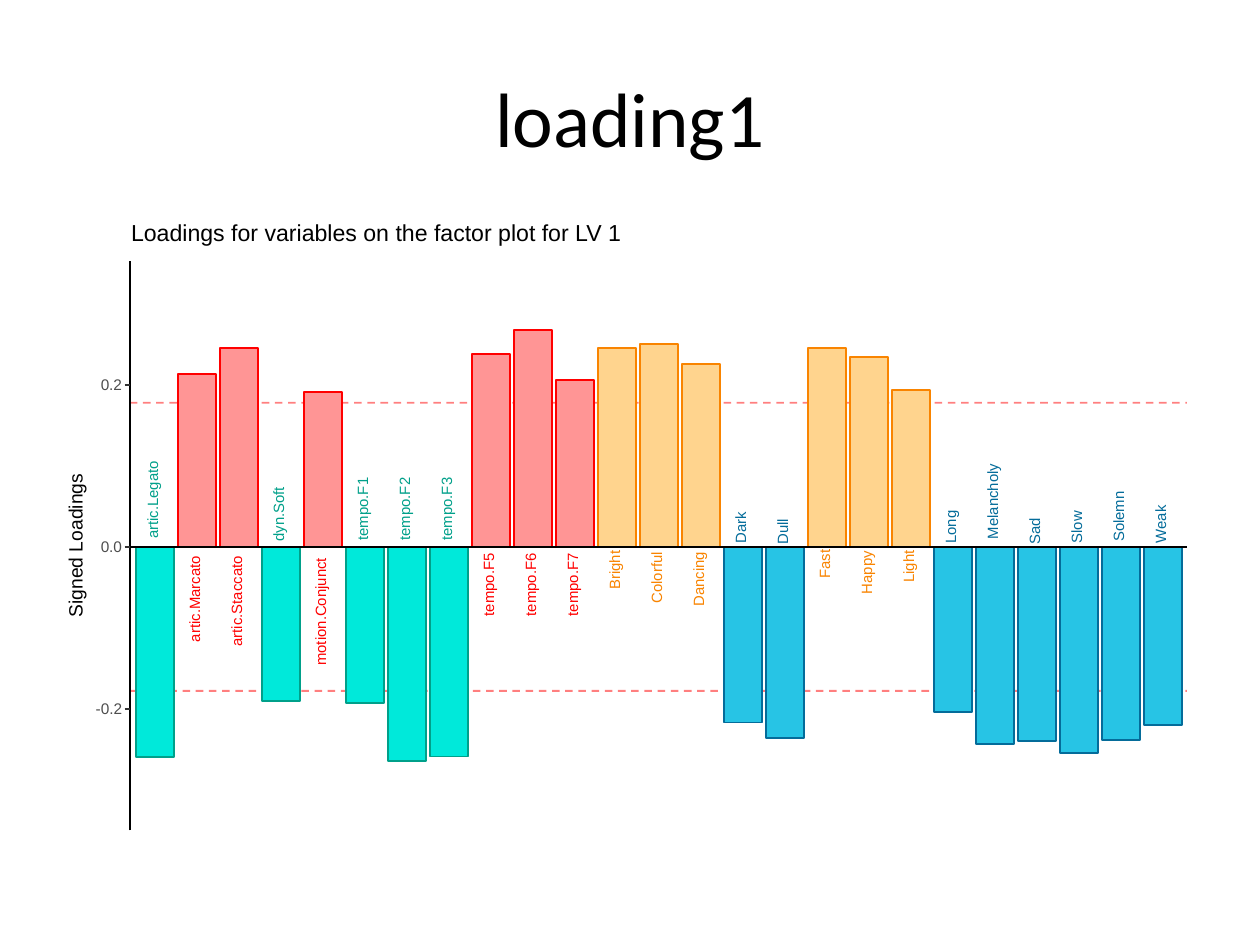
from dataclasses import dataclass
from lxml import etree
from pptx import Presentation
from pptx import util as u
from pptx.dml.color import RGBColor
from pptx.enum import dml, shapes, text
from pptx.oxml import ns


@dataclass(frozen=True)
class Theme:
    black: str = "000000"
    white: str = "FFFFFF"
    tick: str = "333333"
    tick_label: str = "4D4D4D"
    cutoff: str = "FF0000"
    title_font: str = "Calibri"
    plot_font: str = "Arial"
    title_size: float = 44
    heading_size: float = 13.2
    axis_size: float = 11
    tick_size: float = 8.8
    label_size: float = 8.5
    stroke: float = 1.07


THEME = Theme()
FAMILIES = {
    "teal": ("00E9DA", "00A08A"),
    "red": ("FF9595", "FF0000"),
    "orange": ("FFD48E", "F98400"),
    "blue": ("27C4E5", "046C9A"),
}
LOADINGS = [
    ("artic.Legato", -26.0, 0.62, "teal"),
    ("artic.Marcato", 21.3, 0.69, "red"),
    ("artic.Staccato", 24.6, 0.72, "red"),
    ("dyn.Soft", -19.0, 0.43, "teal"),
    ("motion.Conjunct", 19.1, 0.86, "red"),
    ("tempo.F1", -19.3, 0.5, "teal"),
    ("tempo.F2", -26.5, 0.5, "teal"),
    ("tempo.F3", -25.9, 0.5, "teal"),
    ("tempo.F5", 23.8, 0.5, "red"),
    ("tempo.F6", 26.8, 0.5, "red"),
    ("tempo.F7", 20.6, 0.5, "red"),
    ("Bright", 24.6, 0.31, "orange"),
    ("Colorful", 25.0, 0.41, "orange"),
    ("Dancing", 22.6, 0.43, "orange"),
    ("Dark", -21.7, 0.25, "blue"),
    ("Dull", -23.6, 0.2, "blue"),
    ("Fast", 24.6, 0.23, "orange"),
    ("Happy", 23.4, 0.34, "orange"),
    ("Light", 19.4, 0.26, "orange"),
    ("Long", -20.4, 0.26, "blue"),
    ("Melancholy", -24.4, 0.6, "blue"),
    ("Sad", -24.0, 0.21, "blue"),
    ("Slow", -25.5, 0.26, "blue"),
    ("Solemn", -23.9, 0.4, "blue"),
    ("Weak", -22.0, 0.3, "blue"),
]


def add_text(parts, words, box, size, colour, font=THEME.plot_font):
    frame_box = parts.add_textbox(*map(u.Inches, box))
    frame = frame_box.text_frame
    frame.word_wrap = False
    frame.vertical_anchor = text.MSO_ANCHOR.MIDDLE
    frame.margin_left = frame.margin_right = 0
    frame.margin_top = frame.margin_bottom = 0
    run = frame.paragraphs[0].add_run()
    run.text = words
    run.font.name = font
    run.font.size = u.Pt(size)
    run.font.color.rgb = RGBColor.from_string(colour)
    return frame_box


def add_plot_text(parts, words, box, size, colour):
    label = add_text(parts, words, box, size, colour)
    label.text_frame.paragraphs[0].line_spacing = u.Pt(size)
    return label


def add_upright_text(parts, words, centre, length, height, size, colour):
    x, y = centre
    room = length + 0.06
    box = (x - room / 2, y - height / 2, room, height)
    label = add_plot_text(parts, words, box, size, colour)
    label.rotation = 270
    label.text_frame.paragraphs[0].alignment = text.PP_ALIGN.CENTER


def add_rect(parts, box, fill, outline):
    rect = parts.add_shape(shapes.MSO_SHAPE.RECTANGLE, *map(u.Inches, box))
    rect.shadow.inherit = False
    rect.fill.solid()
    rect.fill.fore_color.rgb = RGBColor.from_string(fill)
    rect.line.color.rgb = RGBColor.from_string(outline)
    rect.line.width = u.Pt(THEME.stroke)


def add_line(parts, start, end, colour):
    line = parts.add_connector(
        shapes.MSO_CONNECTOR.STRAIGHT, *map(u.Inches, (*start, *end)))
    line.line.color.rgb = RGBColor.from_string(colour)
    line.line.width = u.Pt(THEME.stroke)
    etree.SubElement(line.element.spPr, ns.qn("a:effectLst"))
    return line


def add_cutoff(parts, start, end):
    cutoff = add_line(parts, start, end, THEME.cutoff)
    cutoff.line.dash_style = dml.MSO_LINE.DASH
    colour = next(cutoff.element.spPr.iter(ns.qn("a:srgbClr")))
    etree.SubElement(colour, ns.qn("a:alpha")).set("val", "50000")


def add_title(slide, box):
    title = add_text(slide.shapes, "loading1", box, THEME.title_size,
                     THEME.black, THEME.title_font)
    title.text_frame.paragraphs[0].alignment = text.PP_ALIGN.CENTER


def add_loadings_plot(slide, box):
    left, top, width, height = box
    axis_x, right = left + 0.53, left + width - 0.08
    axis_top, axis_bottom = top + 0.32, top + height - 0.11
    zero = top + 2.59
    unit = 2.57 / 40
    first, step, bar_width = left + 0.73, 1 / 3, 0.3
    parts = slide.shapes.add_group_shape().shapes

    add_rect(parts, box, THEME.white, THEME.white)
    for cutoff in (17.8, -17.8):
        y = zero - cutoff * unit
        add_cutoff(parts, (axis_x, y), (right, y))

    for index, (name, loading, length, family) in enumerate(LOADINGS):
        bar_top = zero - max(loading, 0) * unit
        bar_left = first + index * step - bar_width / 2
        add_rect(parts, (bar_left, bar_top, bar_width, abs(loading) * unit),
                 *FAMILIES[family])

    for index, (name, loading, length, family) in enumerate(LOADINGS):
        side = 1 if loading > 0 else -1
        centre = (first + index * step - 0.01, zero + side * 0.6 * length)
        label_height = 0.11 if set(name) & set("gjpy") else 0.09
        add_upright_text(parts, name, centre, length, label_height,
                         THEME.label_size, FAMILIES[family][1])

    add_line(parts, (axis_x, zero), (right, zero), THEME.black)
    add_line(parts, (axis_x, axis_bottom), (axis_x, axis_top), THEME.black)
    for tick, length in ((-20, 0.21), (0, 0.17), (20, 0.17)):
        y = zero - tick * unit
        add_plot_text(parts, f"{tick / 100:.1f}",
                      (axis_x - 0.06 - length, y - 0.04, length, 0.09),
                      THEME.tick_size, THEME.tick_label)
        add_line(parts, (axis_x - 0.04, y), (axis_x, y), THEME.tick)

    add_upright_text(parts, "Signed Loadings",
                     (left + 0.11, (axis_top + axis_bottom) / 2),
                     1.14, 0.14, THEME.axis_size, THEME.black)
    add_plot_text(parts, "Loadings for variables on the factor plot for LV 1",
                  (axis_x + 0.01, top + 0.03, 3.9, 0.17),
                  THEME.heading_size, THEME.black)


deck = Presentation()
deck.slide_width, deck.slide_height = u.Inches(10), u.Inches(7.5)
loading_slide = deck.slides.add_slide(deck.slide_layouts[6])
add_title(loading_slide, (0.5, 0.3, 9, 1.25))
add_loadings_plot(loading_slide, (0.5, 1.75, 9, 4.95))
deck.save("out.pptx")
